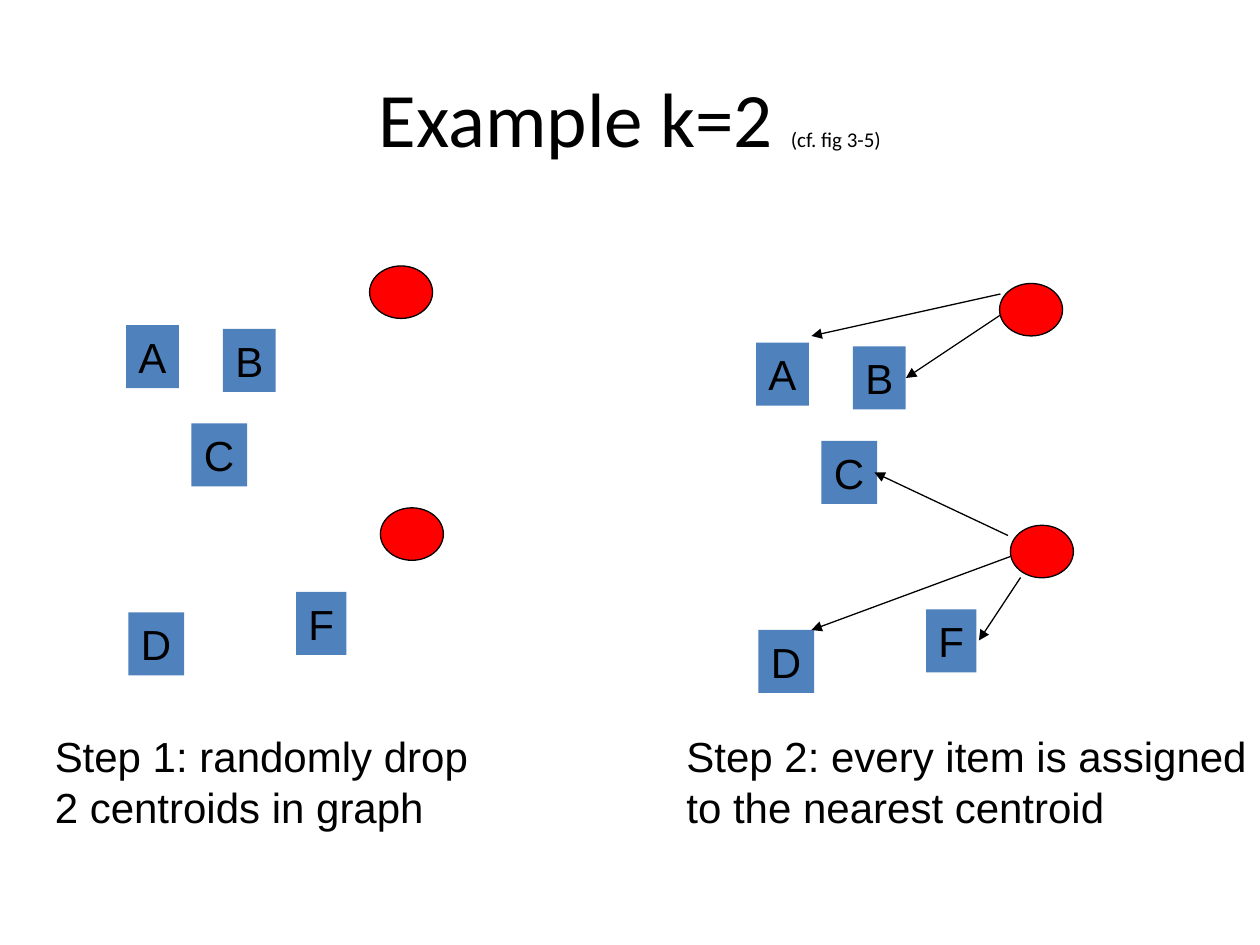
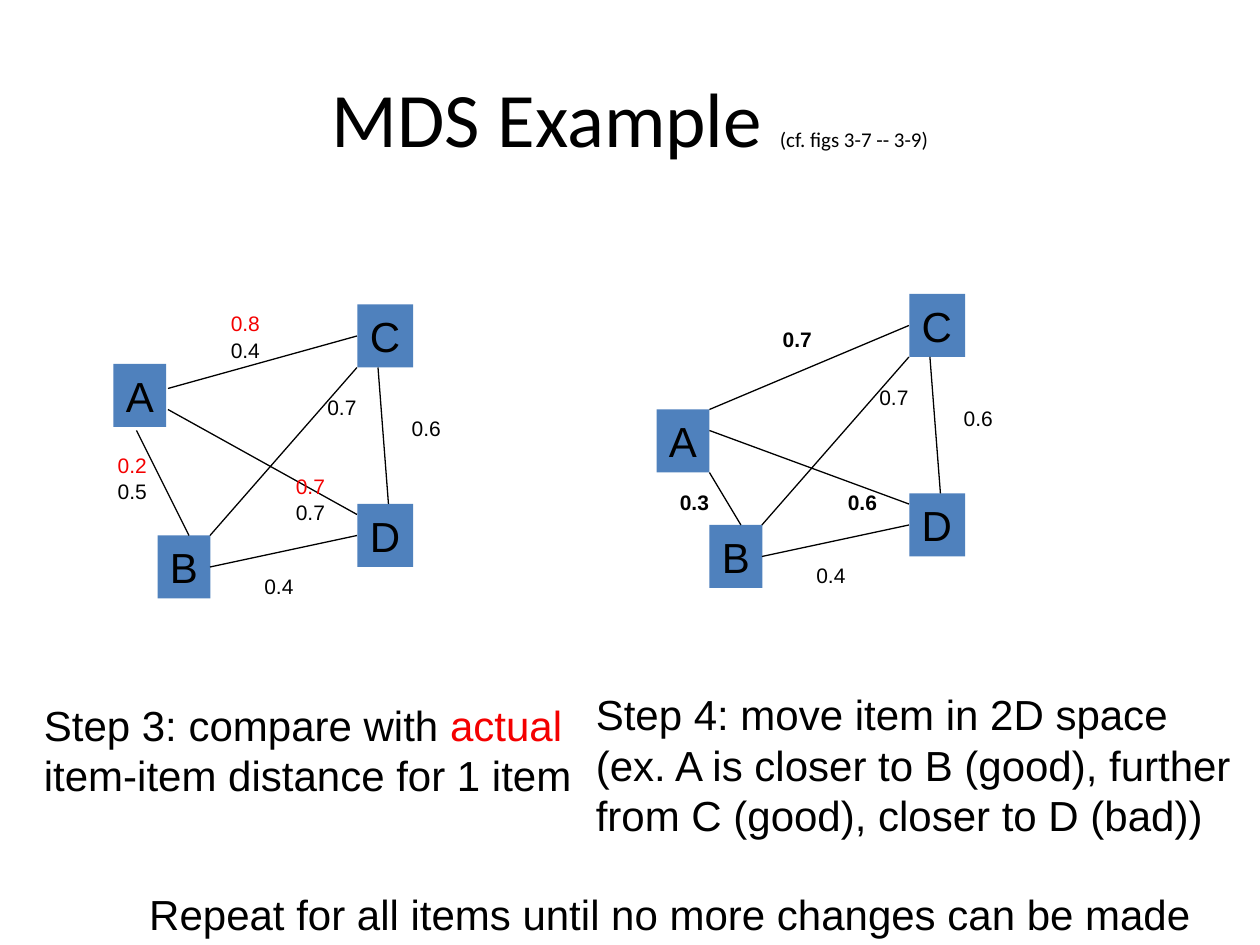
"""Build two slides that explain k-means clustering and multidimensional scaling."""

from dataclasses import dataclass

import lxml.etree
import pptx
import pptx.dml.color
import pptx.enum.shapes
import pptx.enum.text
import pptx.oxml.ns
import pptx.util

Pt = pptx.util.Pt
Shapes = pptx.enum.shapes.MSO_SHAPE
Align = pptx.enum.text.PP_ALIGN
Anchor = pptx.enum.text.MSO_ANCHOR

COLORS = {"text": "000000", "item": "4F81BD", "centroid": "FF0000", "actual": "F40000"}
ITEM_WIDTHS = {"A": 30.2, "B": 30.2, "C": 31.9, "D": 31.9, "F": 28.8}
LINE_HEIGHT = 1.2


@dataclass(frozen=True)
class Run:
    text: str
    size: float = 24
    color: str = "text"
    bold: bool = False
    font: str = "Arial"


@dataclass(frozen=True)
class Origin:
    x: float = 0
    y: float = 0


@dataclass(frozen=True)
class Item:
    name: str
    x: float
    y: float


@dataclass(frozen=True)
class Centroid:
    x: float
    y: float


@dataclass(frozen=True)
class Edge:
    start: tuple[float, float]
    end: tuple[float, float]
    arrow: bool = False


@dataclass(frozen=True)
class Distance:
    value: str
    x: float
    y: float
    color: str = "text"
    bold: bool = False


@dataclass(frozen=True)
class Caption:
    x: float
    y: float
    width: float
    height: float
    lines: list[list[Run]]


CLUSTER_ITEMS = [
    Item("A", 72, 185.8), Item("B", 127.4, 188), Item("C", 109.4, 242),
    Item("D", 73.4, 350), Item("F", 169.2, 338.2),
]
CENTROIDS = [Centroid(211.2, 152), Centroid(217.4, 290.2)]
ASSIGNMENTS = [
    Edge((223.2, 320), (199.4, 356), True),
    Edge((217.4, 308), (103.7, 350), True),
    Edge((216, 296), (139.7, 260), True),
    Edge((211.7, 170), (157.7, 206), True),
    Edge((211.7, 158), (103.7, 182), True),
]
CLUSTER_CAPTIONS = [
    Caption(24.2, 414, 250.6, 64.8,
            [[Run("Step 1: randomly drop")], [Run("2 centroids in graph")]]),
    Caption(385.2, 414, 334.1, 64.8,
            [[Run("Step 2: every item is assigned")], [Run("to the nearest centroid")]]),
]

FIXED_ITEMS = [Item("B", 90, 306), Item("C", 204.2, 174), Item("D", 204.2, 288)]
FIXED_EDGES = [
    Edge((216, 210), (222, 288)),
    Edge((120, 324), (204, 306)),
    Edge((120, 306), (204, 210)),
]
FIXED_DISTANCES = [
    Distance("0.6", 228.2, 234), Distance("0.4", 144, 324), Distance("0.7", 180, 222),
]
EDGE_ENDS_FROM_A = [(204, 192), (108, 306), (204, 294)]
MDS_CAPTIONS = [
    Caption(18, 396, 322.6, 64.8,
            [[Run("Step 3: compare with "), Run("actual", color="actual")],
             [Run("item-item distance for 1 item")]]),
    Caption(333.4, 390, 386.6, 93.6,
            [[Run("Step 4: move item in 2D space")],
             [Run("(ex. A is closer to B (good), further")],
             [Run("from C (good), closer to D (bad))")]]),
    Caption(78.2, 504, 609.1, 36,
            [[Run("Repeat for all items until no more changes can be made")]]),
]


def rgb(name: str) -> pptx.dml.color.RGBColor:
    return pptx.dml.color.RGBColor.from_string(COLORS[name])


def add_runs(paragraph, runs: list[Run]) -> None:
    for item in runs:
        run = paragraph.add_run()
        run.text = item.text
        run.font.name = item.font
        run.font.size = Pt(item.size)
        run.font.bold = item.bold
        run.font.color.rgb = rgb(item.color)


def write_lines(shape, lines: list[list[Run]], wrap: bool = False) -> None:
    frame = shape.text_frame
    frame.word_wrap = wrap
    frame.vertical_anchor = Anchor.TOP
    for index, runs in enumerate(lines):
        paragraph = frame.add_paragraph() if index else frame.paragraphs[0]
        paragraph.alignment = Align.LEFT
        paragraph.line_spacing = Pt(LINE_HEIGHT * runs[0].size)
        add_runs(paragraph, runs)


def add_title(slide, title: str, reference: str) -> None:
    box = slide.shapes.add_textbox(Pt(36), Pt(21.6), Pt(648), Pt(90))
    box.text_frame.word_wrap = True
    box.text_frame.vertical_anchor = Anchor.MIDDLE
    paragraph = box.text_frame.paragraphs[0]
    paragraph.alignment = Align.CENTER
    add_runs(paragraph, [Run(title, 44, font="Calibri"), Run(reference, 12, font="Calibri")])


def add_caption(slide, caption: Caption) -> None:
    box = slide.shapes.add_textbox(
        Pt(caption.x), Pt(caption.y), Pt(caption.width), Pt(caption.height))
    box.text_frame.margin_right = Pt(0)
    write_lines(box, caption.lines, wrap=True)


def add_item(slide, item: Item, origin: Origin) -> None:
    shape = slide.shapes.add_shape(
        Shapes.RECTANGLE, Pt(origin.x + item.x), Pt(origin.y + item.y),
        Pt(ITEM_WIDTHS[item.name]), Pt(36))
    shape.shadow.inherit = False
    shape.fill.solid()
    shape.fill.fore_color.rgb = rgb("item")
    shape.line.fill.background()
    write_lines(shape, [[Run(item.name)]])


def add_centroid(slide, centroid: Centroid, origin: Origin) -> None:
    shape = slide.shapes.add_shape(
        Shapes.OVAL, Pt(origin.x + centroid.x), Pt(origin.y + centroid.y), Pt(36), Pt(30))
    shape.shadow.inherit = False
    shape.fill.solid()
    shape.fill.fore_color.rgb = rgb("centroid")
    shape.line.color.rgb = rgb("text")
    shape.line.width = Pt(0.75)


def add_edge(slide, edge: Edge, origin: Origin) -> None:
    connector = slide.shapes.add_connector(
        pptx.enum.shapes.MSO_CONNECTOR.STRAIGHT,
        Pt(origin.x + edge.start[0]), Pt(origin.y + edge.start[1]),
        Pt(origin.x + edge.end[0]), Pt(origin.y + edge.end[1]))
    connector.line.color.rgb = rgb("text")
    connector.line.width = Pt(0.75)
    if edge.arrow:
        line = connector.line._get_or_add_ln()
        lxml.etree.SubElement(line, pptx.oxml.ns.qn("a:tailEnd"), type="triangle")
    properties = connector._element.spPr
    lxml.etree.SubElement(properties, pptx.oxml.ns.qn("a:effectLst"))


def add_distance(slide, distance: Distance, origin: Origin) -> None:
    box = slide.shapes.add_textbox(
        Pt(origin.x + distance.x), Pt(origin.y + distance.y), Pt(31), Pt(21.6))
    write_lines(box, [[Run(distance.value, 12, distance.color, distance.bold)]])


def add_clusters(slide, origin: Origin, assignments: list[Edge]) -> None:
    for item in CLUSTER_ITEMS:
        add_item(slide, item, origin)
    for centroid in CENTROIDS:
        add_centroid(slide, centroid, origin)
    for edge in assignments:
        add_edge(slide, edge, origin)


def add_distance_map(slide, origin: Origin, moving_item: Item,
                     edge_starts: list[tuple[float, float]],
                     distances: list[Distance]) -> None:
    for item in [moving_item, *FIXED_ITEMS]:
        add_item(slide, item, origin)
    moving_edges = [Edge(start, end) for start, end in zip(edge_starts, EDGE_ENDS_FROM_A)]
    for edge in moving_edges + FIXED_EDGES:
        add_edge(slide, edge, origin)
    for distance in FIXED_DISTANCES + distances:
        add_distance(slide, distance, origin)


def build_clustering_slide(slide) -> None:
    add_title(slide, "Example k=2 ", "(cf. fig 3-5)")
    add_clusters(slide, Origin(), [])
    add_clusters(slide, Origin(360, 10), ASSIGNMENTS)
    for caption in CLUSTER_CAPTIONS:
        add_caption(slide, caption)


def build_mds_slide(slide) -> None:
    add_title(slide, "MDS Example ", "(cf. figs 3-7 -- 3-9)")
    add_distance_map(
        slide, Origin(), Item("A", 64.8, 208), [(96, 222), (78, 246), (96, 234)],
        [Distance("0.4", 124.8, 189.2), Distance("0.5", 60.2, 270),
         Distance("0.7", 162, 282), Distance("0.8", 124.8, 174.2, "actual"),
         Distance("0.2", 60.2, 255, "actual"), Distance("0.7", 162, 267, "actual")])
    add_distance_map(
        slide, Origin(315.4, -6), Item("A", 59.8, 240), [(90, 240), (90, 276), (90, 252)],
        [Distance("0.7", 124.8, 189.2, bold=True), Distance("0.3", 66, 282, bold=True),
         Distance("0.6", 162, 282, bold=True)])
    for caption in MDS_CAPTIONS:
        add_caption(slide, caption)


def main() -> None:
    presentation = pptx.Presentation()
    presentation.slide_width = Pt(720)
    presentation.slide_height = Pt(540)
    for build in (build_clustering_slide, build_mds_slide):
        build(presentation.slides.add_slide(presentation.slide_layouts[6]))
    presentation.save("out.pptx")


if __name__ == "__main__":
    main()
